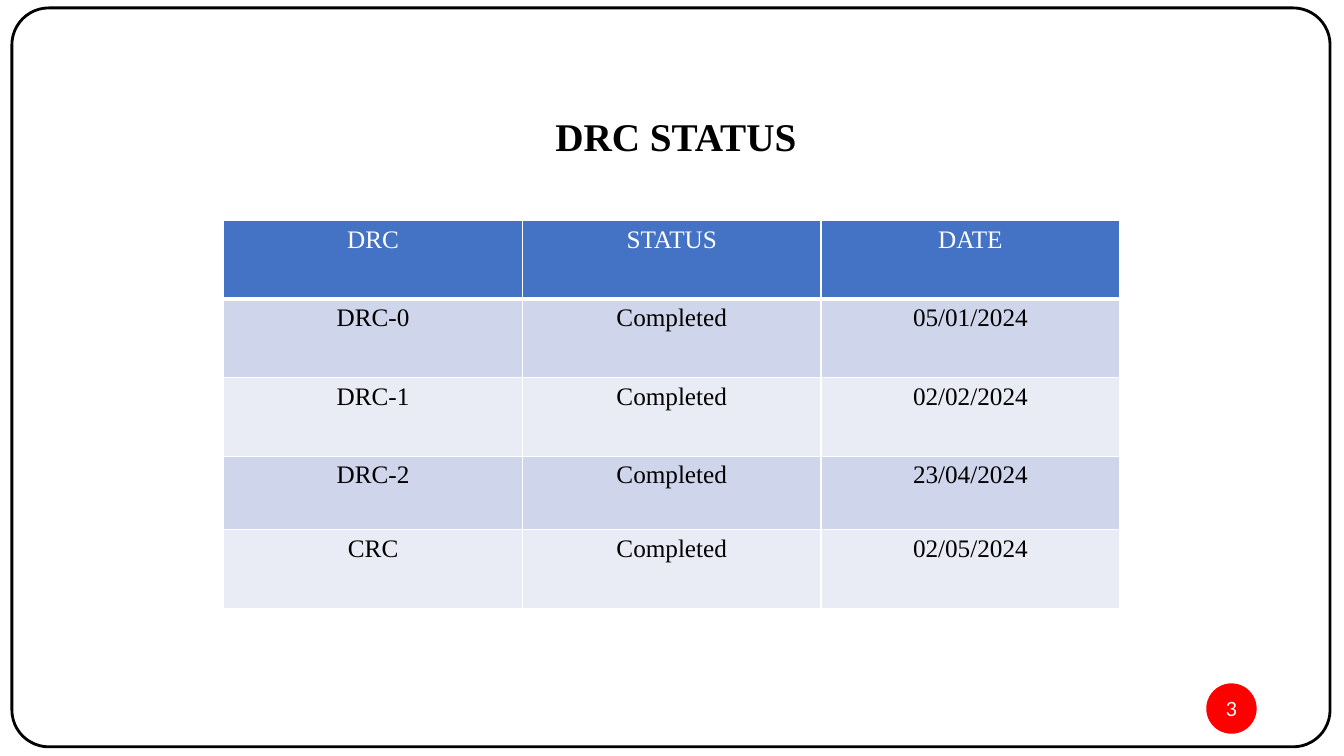
import dataclasses

import lxml.etree
import pptx
import pptx.dml.color
import pptx.enum.shapes
import pptx.enum.text
import pptx.oxml.ns
import pptx.util

Cm = pptx.util.Cm
Pt = pptx.util.Pt
SHAPE = pptx.enum.shapes.MSO_SHAPE
ANCHOR = pptx.enum.text.MSO_ANCHOR
CENTER = pptx.enum.text.PP_ALIGN.CENTER

SERIF = "Times New Roman"
HUES = {
    "black": "000000",
    "white": "FFFFFF",
    "red": "FF0000",
    "head": "4472C4",
    "odd": "CFD5EA",
    "even": "E9EBF5",
}


@dataclasses.dataclass
class Box:
    left: float
    top: float
    width: float
    height: float

    def sides(self) -> tuple:
        return Cm(self.left), Cm(self.top), Cm(self.width), Cm(self.height)


@dataclasses.dataclass
class Style:
    size: int
    hue: str
    font: str = SERIF
    bold: bool = False


@dataclasses.dataclass
class Row:
    texts: tuple[str, str, str]
    height: float = 1.98


FRAME = Box(0.3, 0.2, 33.22, 18.62)
BADGE = Box(30.4, 17.22, 1.27, 1.27)
TITLE = Box(13.51, 2.69, 7.29, 1.45)
GRID = Box(5.64, 5.56, 22.58, 9.77)
ROWS = [
    Row(("DRC", "STATUS", "DATE")),
    Row(("DRC-0", "Completed", "05/01/2024")),
    Row(("DRC-1", "Completed", "02/02/2024")),
    Row(("DRC-2", "Completed", "23/04/2024"), 1.85),
    Row(("CRC", "Completed", "02/05/2024")),
]


def get_hue(name: str) -> pptx.dml.color.RGBColor:
    return pptx.dml.color.RGBColor.from_string(HUES[name])


def paint(target, hue: str) -> None:
    target.fill.solid()
    target.fill.fore_color.rgb = get_hue(hue)


def write(frame, text: str, style: Style) -> None:
    """Put one centred run into an empty text frame."""
    line = frame.paragraphs[0]
    line.alignment = CENTER
    run = line.add_run()
    run.text = text
    run.font.name = style.font
    run.font.size = Pt(style.size)
    run.font.bold = style.bold
    run.font.color.rgb = get_hue(style.hue)


def add_shape(slide, kind: SHAPE, box: Box):
    shape = slide.shapes.add_shape(kind, *box.sides())
    shape.shadow.inherit = False
    return shape


def add_frame(slide) -> None:
    frame = add_shape(slide, SHAPE.ROUNDED_RECTANGLE, FRAME)
    frame.adjustments[0] = 0.05
    frame.fill.background()
    frame.line.color.rgb = get_hue("black")
    frame.line.width = Pt(2)


def add_badge(slide) -> None:
    badge = add_shape(slide, SHAPE.OVAL, BADGE)
    paint(badge, "red")
    badge.line.fill.background()
    text = badge.text_frame
    text.margin_left = text.margin_right = 0
    text.margin_top = text.margin_bottom = 0
    text.vertical_anchor = ANCHOR.MIDDLE
    write(text, "3", Style(14, "white", "Lato"))


def set_title(slide) -> None:
    title = slide.shapes.title
    title.left, title.top, title.width, title.height = TITLE.sides()
    text = title.text_frame
    text.word_wrap = True
    text.auto_size = pptx.enum.text.MSO_AUTO_SIZE.SHAPE_TO_FIT_TEXT
    text.vertical_anchor = ANCHOR.TOP
    write(text, "DRC STATUS ", Style(28, "black", bold=True))


def add_edges(cell, base: int) -> None:
    """Draw white cell borders, with the lower one base points wide."""
    qn = pptx.oxml.ns.qn
    props = cell._tc.get_or_add_tcPr()
    for side, width in (("L", 1), ("R", 1), ("T", 1), ("B", base)):
        edge = lxml.etree.SubElement(props, qn(f"a:ln{side}"), w=str(Pt(width)))
        fill = lxml.etree.SubElement(edge, qn("a:solidFill"))
        lxml.etree.SubElement(fill, qn("a:srgbClr"), val=HUES["white"])


def add_grid(slide) -> None:
    cols = len(ROWS[0].texts)
    table = slide.shapes.add_table(len(ROWS), cols, *GRID.sides()).table
    for col in table.columns:
        col.width = Cm(GRID.width / cols)
    for i, row in enumerate(ROWS):
        table.rows[i].height = Cm(row.height)
        tint = "head" if i == 0 else "odd" if i % 2 else "even"
        style = Style(18, "black" if i else "white")
        for j, text in enumerate(row.texts):
            cell = table.cell(i, j)
            add_edges(cell, 1 if i else 3)
            paint(cell, tint)
            write(cell.text_frame, text, style)


def main() -> None:
    deck = pptx.Presentation()
    deck.slide_width = Cm(33.87)
    deck.slide_height = Cm(19.05)
    slide = deck.slides.add_slide(deck.slide_layouts.get_by_name("Title Only"))
    paint(slide.background, "white")
    add_frame(slide)
    add_badge(slide)
    set_title(slide)
    add_grid(slide)
    deck.save("out.pptx")


if __name__ == "__main__":
    main()
